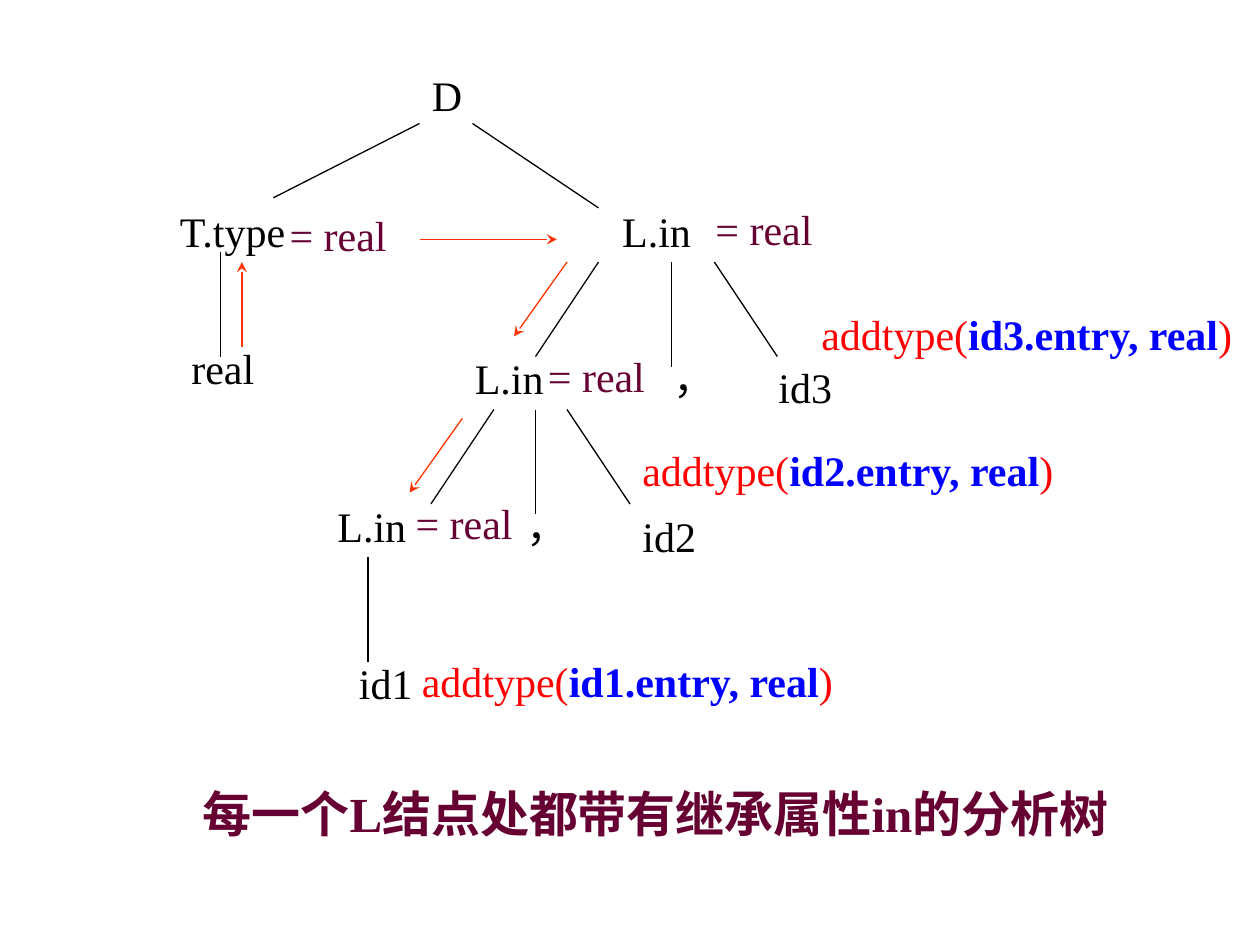
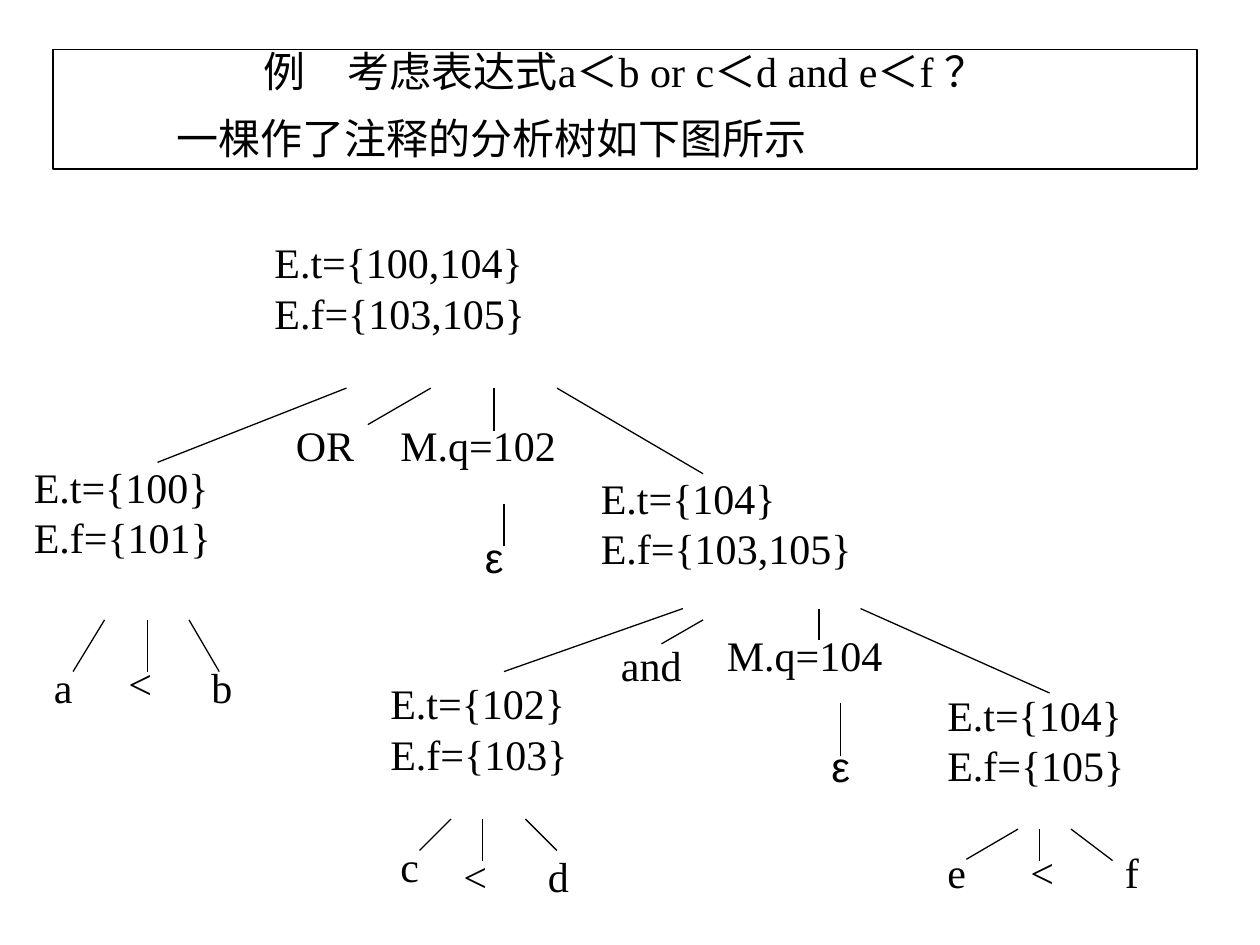
from typing import NamedTuple

from lxml.etree import SubElement
from pptx import Presentation
from pptx.dml.color import RGBColor as Rgb
from pptx.enum.shapes import MSO_CONNECTOR as Connector
from pptx.enum.text import MSO_ANCHOR as Anchor, MSO_AUTO_SIZE as AutoSize, PP_ALIGN as Align
from pptx.oxml.ns import qn
from pptx.util import Inches, Pt


class Box(NamedTuple):
    left: float
    top: float
    width: float = 0
    height: float = 0.5

    def inner(self, dx, dy, width=0, height=0.5):
        return Box(self.left + dx, self.top + dy, width, height)

    def lengths(self):
        return [Inches(value) for value in self]


class Theme:
    serif, sans = "Times New Roman", "Arial"
    body_size, caption_size, rule = Pt(24), Pt(28), Pt(0.75)
    black, white = Rgb(0, 0, 0), Rgb(255, 255, 255)
    plum, flow = Rgb(0x66, 0, 0x33), Rgb(0xFF, 0x33, 0)
    red, blue = Rgb(255, 0, 0), Rgb(0, 0, 255)
    styles = {
        "body": (dict(name=serif, size=body_size, bold=False), black),
        "epsilon": (dict(name=sans, size=body_size, bold=False), black),
        "value": (dict(name=serif, size=body_size, bold=False), plum),
        "action": (dict(name=serif, size=body_size, bold=False), red),
        "argument": (dict(name=serif, size=body_size, bold=True), blue),
        "caption": (dict(name=serif, size=caption_size, bold=True), plum),
    }
    frame = dict(
        word_wrap=True,
        auto_size=AutoSize.SHAPE_TO_FIT_TEXT,
        vertical_anchor=Anchor.TOP,
        margin_left=Inches(0.1),
        margin_right=Inches(0.1),
        margin_top=Inches(0.05),
        margin_bottom=Inches(0.05),
    )


def apply(target, values):
    for name, value in values.items():
        setattr(target, name, value)


def write(frame, lines, **frame_values):
    apply(frame, {**Theme.frame, **frame_values})
    for index, line in enumerate(lines):
        paragraph = frame.add_paragraph() if index else frame.paragraphs[0]
        paragraph.alignment = Align.LEFT
        for text, style in line:
            run = paragraph.add_run()
            run.text = text
            font_values, color = Theme.styles[style]
            apply(run.font, font_values)
            run.font.color.rgb = color


def add_label(slide, box, text, style="body", **frame_values):
    lines = [[(line, style)] for line in text.split("\n")]
    write(slide.shapes.add_textbox(*box.lengths()).text_frame, lines, **frame_values)


def add_stem(slide, box, x1, y1, x2, y2, color=Theme.black, arrow=False):
    ends = (box.left + x1, box.top + y1, box.left + x2, box.top + y2)
    stem = slide.shapes.add_connector(Connector.STRAIGHT, *map(Inches, ends))
    stem.line.width = Theme.rule
    stem.line.color.rgb = color
    if arrow:
        SubElement(stem.line._get_or_add_ln(), qn("a:tailEnd"), type="stealth")
    SubElement(stem._element.spPr, qn("a:effectLst"))


def add_flow(slide, box, *ends):
    add_stem(slide, box, *ends, color=Theme.flow, arrow=True)


def add_value(slide, box):
    add_label(slide, box, "= real", "value", word_wrap=False)


def place_title(slide, box, lines):
    title = slide.shapes.title
    apply(title, dict(zip(("left", "top", "width", "height"), box.lengths())))
    write(title.text_frame, lines)
    return title


def draw_list_level(slide, box, value_at, stem_xs, id_at, action_at, name, flow_top=0.5):
    add_label(slide, box.inner(0, 0, 1), "L.in")
    add_value(slide, box.inner(*value_at, 0.97))
    if len(stem_xs) == 3:
        left, middle, right = stem_xs
        add_stem(slide, box, left, 0.5, left - 0.5, 1.25)
        add_stem(slide, box, right, 0.5, right + 0.5, 1.25)
        add_flow(slide, box, left - 0.25, flow_top, left - 0.67, flow_top + 0.59)
        add_label(slide, box.inner(0.41, 1.17, 0.67), "，")
    else:
        middle = stem_xs[0]
    add_stem(slide, box, middle, 0.5, middle, 1.33)
    add_label(slide, box.inner(*id_at, 1.25), name)
    action = [("addtype(", "action"), (f"{name}.entry, real", "argument"), (")", "action")]
    write(slide.shapes.add_textbox(*box.inner(*action_at, 3.67).lengths()).text_frame, [action])


def draw_declaration_tree(slide, box):
    add_label(slide, box.inner(2, 0, 1.08), "D")
    add_label(slide, box.inner(0, 1.08, 1.92), "T.type")
    add_value(slide, box.inner(0.87, 1.11, 0.97))
    add_label(slide, box.inner(0.09, 2.17, 1.08), "real")
    for ends in ((2, 0.48, 0.84, 1.07), (2.42, 0.48, 3.42, 1.15), (0.42, 1.5, 0.42, 2.33)):
        add_stem(slide, box, *ends)
    for ends in ((0.59, 2.25, 0.59, 1.58), (2, 1.4, 3.09, 1.4)):
        add_flow(slide, box, *ends)
    draw_list_level(slide, box.inner(3.51, 1.08), (0.74, -0.01), (-0.09, 0.49, 0.83),
                    (1.24, 1.24), (1.58, 0.82), "id3")
    draw_list_level(slide, box.inner(2.34, 2.25), (0.58, -0.02), (0.25, 0.58, 0.83),
                    (1.33, 1.25), (1.33, 0.73), "id2", flow_top=0.57)
    draw_list_level(slide, box.inner(1.25, 3.42), (0.62, -0.02), (0.34,),
                    (0.17, 1.25), (0.67, 1.23), "id1")


def draw_expression_heading(slide, box):
    heading = place_title(slide, box, [
        [("例　考虑表达式a＜b or c＜d and e＜f ？", "body")],
        [("一棵作了注释的分析树如下图所示", "body")],
    ])
    heading.fill.solid()
    heading.fill.fore_color.rgb = Theme.white
    heading.line.width = Theme.rule
    heading.line.color.rgb = Theme.black
    expression, remark = heading.text_frame.paragraphs
    apply(expression, dict(alignment=Align.CENTER, line_spacing=0.8))
    apply(remark, dict(line_spacing=0.8, space_before=Pt(15)))
    remark._p.get_or_add_pPr().set("marL", str(Inches(0.88)))


def draw_expression_node(slide, box, true_list, false_list, children, stems):
    add_label(slide, box, f"E.t={{{true_list}}}\nE.f={{{false_list}}}")
    for ends in stems:
        add_stem(slide, box, *ends)
    for text, dx, dy in children:
        width = 2.17 if text.startswith("M.") else 1 if len(text) > 1 else 0.5
        style = "epsilon" if text == "ε" else "body"
        add_label(slide, box.inner(dx, dy, width), text, style)


EXPRESSION_NODES = [
    (Box(2.08, 1.83, 3, 0.9), "100,104", "103,105",
     [("OR", 0.17, 1.45), ("M.q=102", 1, 1.45), ("ε", 1.67, 2.34)],
     [(0.67, 1.25, -0.83, 1.84), (1.34, 1.25, 0.84, 1.54), (1.84, 1.25, 1.84, 1.59),
      (2.34, 1.25, 3.5, 1.93), (1.92, 2.17, 1.92, 2.5)]),
    (Box(0.17, 3.61, 2.17, 0.9), "100", "101",
     [("a", 0.16, 1.59), ("<", 0.75, 1.56), ("b", 1.41, 1.59)],
     [(0.66, 1.31, 0.41, 1.72), (1, 1.31, 1, 1.72), (1.33, 1.31, 1.57, 1.72)]),
    (Box(4.67, 3.7, 2.92, 0.9), "104", "103,105",
     [("and", 0.16, 1.33), ("M.q=104", 1, 1.25), ("ε", 1.83, 2.13)],
     [(0.75, 1.13, -0.67, 1.63), (0.91, 1.22, 0.58, 1.41), (1.83, 1.13, 1.83, 1.38),
      (2.16, 1.13, 3.66, 1.8), (2, 1.88, 2, 2.3)]),
    (Box(3, 5.33, 2.17, 0.9), "102", "103",
     [("c", 0.08, 1.29), ("<", 0.58, 1.37), ("d", 1.25, 1.37)],
     [(0.58, 1.17, 0.33, 1.42), (0.83, 1.17, 0.83, 1.5), (1.17, 1.17, 1.42, 1.42)]),
    (Box(7.42, 5.42, 2.17, 0.9), "104", "105",
     [("e", 0, 1.25), ("<", 0.66, 1.25), ("f", 1.41, 1.25)],
     [(0.66, 1.16, 0.25, 1.4), (0.83, 1.16, 0.83, 1.41), (1.08, 1.16, 1.41, 1.41)]),
]


def build_declaration_slide(slide):
    draw_declaration_tree(slide, Box(1.33, 0.5))
    place_title(slide, Box(1.51, 6.17, 8, 0.57),
                [[("每一个L结点处都带有继承属性in的分析树", "caption")]])


def build_expression_slide(slide):
    draw_expression_heading(slide, Box(0.42, 0.39, 9.08, 0.95))
    for node in EXPRESSION_NODES:
        draw_expression_node(slide, *node)


def main():
    deck = Presentation()
    apply(deck, dict(slide_width=Inches(10), slide_height=Inches(7.5)))
    title_only = deck.slide_layouts[5]
    for build in (build_declaration_slide, build_expression_slide):
        build(deck.slides.add_slide(title_only))
    deck.save("out.pptx")


if __name__ == "__main__":
    main()
